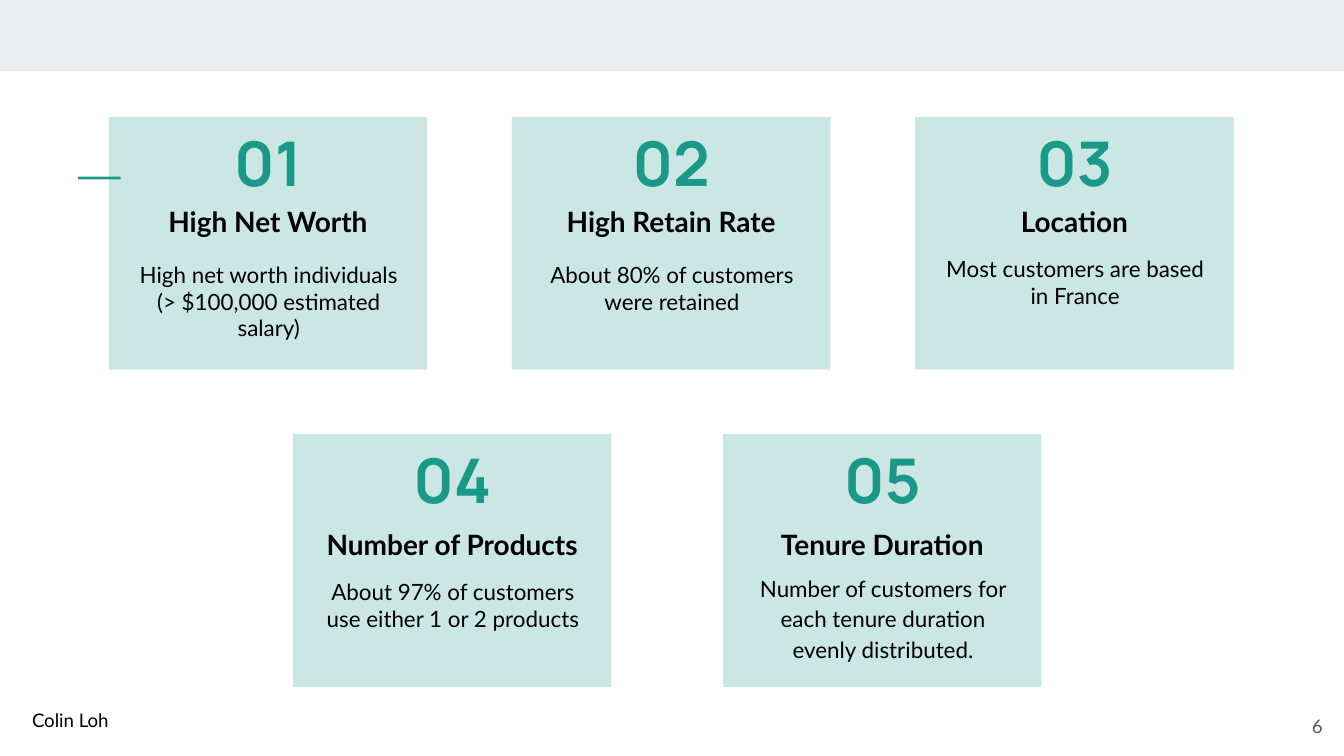
from lxml import etree
from pptx import Presentation
from pptx import util as u
from pptx.dml import color
from pptx.enum import shapes, text
from pptx.oxml import ns

COLORS = {"teal": "1A9988", "band": "E9EDEE", "black": "000000", "gray": "595959"}
ALIGN = text.PP_ALIGN
MIDDLE = text.MSO_ANCHOR.MIDDLE
TOP = text.MSO_ANCHOR.TOP


def rgb(name):
    return color.RGBColor.from_string(COLORS[name])


def apply(target, values):
    for name, value in values.items():
        setattr(target, name, value)


class SlideBuilder:
    font = "Lato"
    inset = 7.2

    def __init__(self, slide):
        self.slide = slide

    def rectangle(self, box, fill, opacity=100):
        shape = self.slide.shapes.add_shape(
            shapes.MSO_SHAPE.RECTANGLE, *map(u.Pt, box))
        shape.shadow.inherit = False
        shape.fill.solid()
        shape.fill.fore_color.rgb = rgb(fill)
        shape.line.fill.background()
        if opacity < 100:
            tone = shape.fill._xPr.find(".//" + ns.qn("a:srgbClr"))
            etree.SubElement(tone, ns.qn("a:alpha"), val=str(opacity * 1000))

    def text(self, box, lines, size, fill="black", font=None, bold=False,
             align=ALIGN.CENTER, anchor=MIDDLE, spacing=None, after=None):
        shape = self.slide.shapes.add_textbox(*map(u.Pt, box))
        frame = shape.text_frame
        sides = ("margin_left", "margin_top", "margin_right", "margin_bottom")
        apply(frame, {side: u.Pt(self.inset) for side in sides})
        apply(frame, {"word_wrap": True, "vertical_anchor": anchor})
        for index, line in enumerate(lines):
            paragraph = frame.paragraphs[0] if index == 0 else frame.add_paragraph()
            paragraph.alignment = align
            if spacing:
                paragraph.line_spacing = spacing
            if after and index == len(lines) - 1:
                paragraph.space_after = u.Pt(after)
            run = paragraph.add_run()
            run.text = line
            apply(run.font, {"name": font or self.font, "size": u.Pt(size), "bold": bold})
            run.font.color.rgb = rgb(fill)

    def card(self, left, top, number, title, body, title_box, body_top=69.8,
             body_anchor=TOP, body_spacing=None):
        def place(x, y, width, height):
            return left + x, top + y, width, height

        heading = {"bold": True, "spacing": 1.15, "after": 10}
        self.rectangle(place(0, 0, 170.6, 135.4), "teal", 23)
        self.text(place(8.3, body_top, 154.8, 56.2), body, 12,
                  anchor=body_anchor, spacing=body_spacing, after=10)
        self.text(place(53.3, 2.9, 64, 36), [number], 33, "teal", "Manrope", **heading)
        self.text(place(*title_box), [title], 15, **heading)


presentation = Presentation()
presentation.slide_width = u.Pt(720)
presentation.slide_height = u.Pt(405)
builder = SlideBuilder(presentation.slides.add_slide(presentation.slide_layouts[6]))

builder.rectangle((0, 0, 720, 38.2), "band")
builder.rectangle((41.8, 94.6, 22.9, 1.6), "teal")

rows = [
    (58.3, 216, 62.7, (18, 42.5, 134.6, 24.5), [
        ("High Net Worth",
         ["High net worth individuals", "(> $100,000 estimated salary)"], {}),
        ("High Retain Rate", ["About 80% of customers were retained"], {}),
        ("Location", ["Most customers are based in France"], {"body_top": 67}),
    ]),
    (157, 230.4, 232.6, (9, 45.4, 152.6, 24.5), [
        ("Number of Products",
         ["About 97% of customers use either 1 or 2 products"], {}),
        ("Tenure Duration",
         ["Number of customers for each tenure duration evenly distributed."],
         {"body_anchor": MIDDLE, "body_spacing": 1.15}),
    ]),
]

number = 0
for left, pitch, top, title_box, cards in rows:
    for column, (title, body, options) in enumerate(cards):
        number += 1
        builder.card(left + column * pitch, top, f"{number:02d}", title, body,
                     title_box, **options)

builder.text((672.5, 373.7, 43.2, 31), ["6"], 10, "gray", align=ALIGN.RIGHT)
builder.text((10.1, 373.7, 62.6, 26.6), ["Colin Loh"], 10, align=ALIGN.LEFT, anchor=TOP)

presentation.save("out.pptx")
